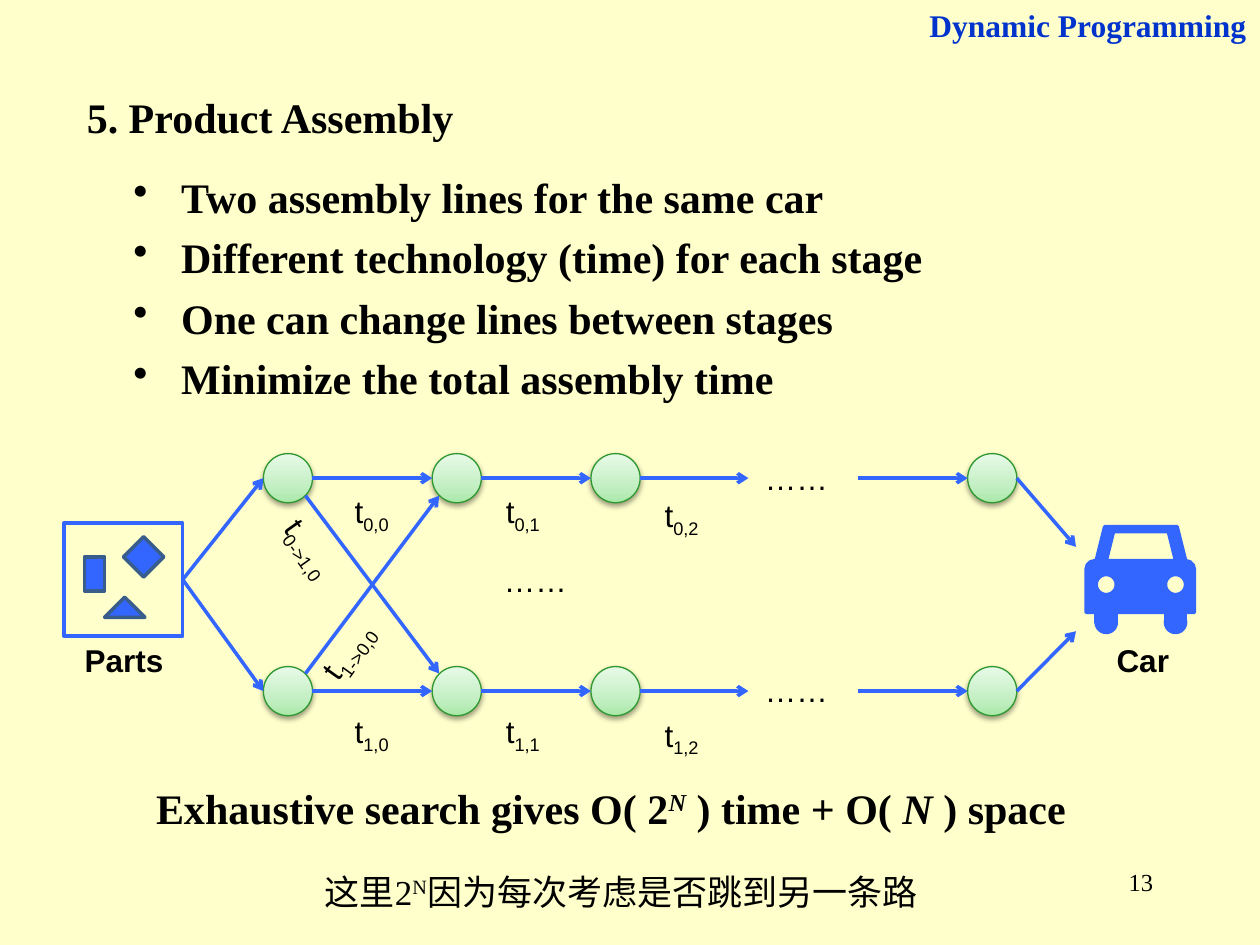
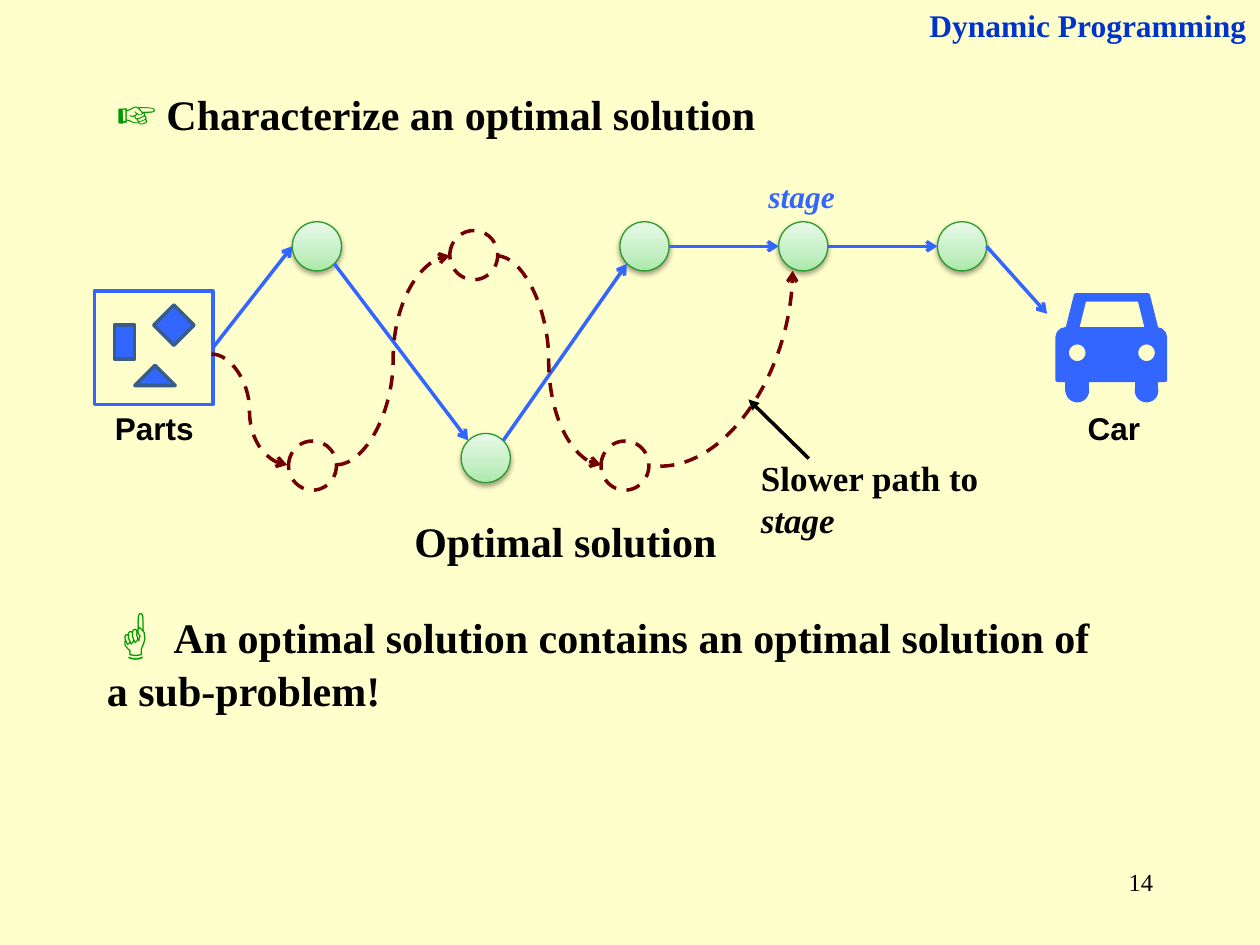
import pptx
import pptx.dml.color
import pptx.enum.dml
import pptx.enum.shapes
import pptx.enum.text
import pptx.oxml
import pptx.oxml.ns
import pptx.util
from dataclasses import dataclass

Inches, Pt = pptx.util.Inches, pptx.util.Pt
Shape = pptx.enum.shapes.MSO_SHAPE
Conn = pptx.enum.shapes.MSO_CONNECTOR
Align = pptx.enum.text.PP_ALIGN
qn = pptx.oxml.ns.qn
NS = pptx.oxml.ns.nsdecls("a")


@dataclass(frozen=True)
class Theme:
    paper: str = "FFFFCC"
    ink: str = "000000"
    head: str = "0033CC"
    blue: str = "3366FF"
    edge: str = "385D8A"
    ring: str = "2F982F"
    hand: str = "009900"
    slow: str = "730000"
    serif: str = "Times New Roman"
    sans: str = "Arial"
    big: int = 24
    mid: int = 20
    small: int = 18
    tiny: int = 14


T = Theme()

# Text formats; "color" and "base" (raised or lowered text, in %) are special
BODY = dict(name=T.serif, size=T.big, color=T.ink, bold=True)
ITAL = dict(BODY, italic=True)
NOTE = dict(BODY, size=T.mid, bold=False)
CALL = dict(BODY, size=T.mid)
HEAD = dict(BODY, size=T.small, color=T.head)
PAGE = dict(BODY, size=T.tiny, bold=False)
MARK = dict(BODY, color=T.hand)
TAG = dict(name=T.sans, size=T.small, color=T.ink, bold=True)
COST = dict(TAG, bold=False)

# Content
TOPIC = "Dynamic Programming"
POINTS = [
    "Two assembly lines for the same car",
    "Different technology (time) for each stage",
    "One can change lines between stages",
    "Minimize the total assembly time",
]
SEARCH = [
    ("Exhaustive search gives O( 2", BODY), ("N", dict(ITAL, base=30)),
    (" ) time + O( ", BODY), ("N", ITAL), (" ) space", BODY),
]
REMARK = [("这里2", NOTE), ("N", dict(NOTE, base=30)),
          ("因为每次考虑是否跳到另一条路", NOTE)]
CLAIM = [("☞", dict(MARK, size=28)),
         (" Characterize an optimal solution", BODY)]
MORAL = [("☝ ", dict(MARK, size=32)),
         ("An optimal solution contains an optimal solution of "
          "a sub-problem!", BODY)]

# Circles: left edges of the columns, tops of the two lines
DIA, SKEW = 0.39, 0.14
COLS, ROWS = [2.09, 3.43, 4.69, 7.68], [3.6, 5.29]
GAP = (5.94, 6.81)
COSTS = [(2.7, 0.26), (3.9, 0.26), (5.16, 0.29)]
SWAPS = [("0->1,0", 2.09, 4.14, 54.6), ("1->0,0", 2.37, 4.96, 305.7)]
DOTS = [(5.97, 3.59), (5.97, 5.28), (3.9, 4.4)]
BEST = [(2.32, 1.76), (3.66, 3.44), (4.92, 1.76), (6.18, 1.76), (7.44, 1.76)]
RINGS = [(2.29, 3.5), (3.57, 1.83), (4.77, 3.5)]
BENDS = [((1.68, 2.81), (2.28, 3.69)), ((2.67, 3.69), (3.57, 2.03)),
         ((3.94, 2.03), (4.77, 3.69)), ((5.24, 3.7), (6.29, 2.15))]


def rgb(code):
    return pptx.dml.color.RGBColor.from_string(code)


def style(run, form):
    for key, val in form.items():
        if key == "color":
            run.font.color.rgb = rgb(val)
        elif key == "base":
            run._r.get_or_add_rPr().set("baseline", str(val * 1000))
        else:
            setattr(run.font, key, Pt(val) if key == "size" else val)


def write(slide, box, runs, align=Align.LEFT, wrap=True, turn=0):
    """Add a text box of one paragraph made of (text, format) runs."""
    item = slide.shapes.add_textbox(*map(Inches, box))
    item.rotation = turn
    item.text_frame.word_wrap = wrap
    para = item.text_frame.paragraphs[0]
    para.alignment = align
    for text, form in runs:
        run = para.add_run()
        run.text = text
        style(run, form)
    return item


def label(slide, x, y, wide, *runs, turn=0):
    write(slide, (x, y, wide, 0.4), runs, Align.CENTER, False, turn)


def cost(slide, x, y, sub, wide=0.5, turn=0):
    label(slide, x, y, wide, ("t", COST), (sub, dict(COST, base=-25)),
          turn=turn)


def draw(slide, kind, box, fill=None, line=T.blue, width=2):
    item = slide.shapes.add_shape(kind, *map(Inches, box))
    item.shadow.inherit = False
    if fill:
        item.fill.solid()
        item.fill.fore_color.rgb = rgb(fill)
    else:
        item.fill.background()
    item.line.color.rgb = rgb(line)
    item.line.width = Pt(width)
    return item


def node(slide, x, y):
    """Add a green station with a soft shadow."""
    item = draw(slide, Shape.OVAL, (x, y, DIA, DIA), T.paper, T.ring, 0.75)
    props = item._element.spPr
    stops = "".join(
        f'<a:gs pos="{at * 1000}"><a:srgbClr val="{hue}"/></a:gs>'
        for at, hue in [(0, "A9E9A9"), (35, "C4EFC4"), (100, "E8FAE8")])
    props.replace(props.find(qn("a:solidFill")), pptx.oxml.parse_xml(
        f'<a:gradFill {NS} rotWithShape="1"><a:gsLst>{stops}</a:gsLst>'
        '<a:lin ang="16200000" scaled="0"/></a:gradFill>'))
    props.find(qn("a:effectLst")).append(pptx.oxml.parse_xml(
        f'<a:outerShdw {NS} blurRad="{Pt(3.1)}" dist="{Pt(1.6)}" '
        'dir="5400000" rotWithShape="0"><a:srgbClr val="000000">'
        '<a:alpha val="38000"/></a:srgbClr></a:outerShdw>'))


def wire(slide, start, end, hue=T.blue, tip="arrow", kind=Conn.STRAIGHT):
    item = slide.shapes.add_connector(kind, *map(Inches, (*start, *end)))
    item.line.color.rgb = rgb(hue)
    item.line.width = Pt(2)
    if kind == Conn.CURVE:
        item.line.dash_style = pptx.enum.dml.MSO_LINE.DASH
    item.line._get_or_add_ln().append(
        pptx.oxml.parse_xml(f'<a:tailEnd {NS} type="{tip}"/>'))
    item._element.spPr.append(pptx.oxml.parse_xml(f"<a:effectLst {NS}/>"))
    return item


def west(x, y):
    return x, y + DIA / 2


def east(x, y):
    return x + DIA, y + DIA / 2


def cross(slide, a, b):
    """Link two stations on different lines, corner to corner."""
    half = DIA / 2
    sign = 1 if b[1] > a[1] else -1
    wire(slide, (a[0] + half + SKEW, a[1] + half + sign * SKEW),
         (b[0] + half - SKEW, b[1] + half - sign * SKEW))


def parts(slide, x, y):
    box = draw(slide, Shape.RECTANGLE, (x, y, 0.94, 0.9), T.paper)
    for kind, dx, dy, w, h in [
            (Shape.RECTANGLE, 0.16, 0.27, 0.16, 0.27),
            (Shape.ISOSCELES_TRIANGLE, 0.32, 0.59, 0.32, 0.16),
            (Shape.DIAMOND, 0.47, 0.11, 0.32, 0.32)]:
        draw(slide, kind, (x + dx, y + dy, w, h), T.blue, T.edge)
    label(slide, x + 0.06, y + 0.89, 0.83, ("Parts", TAG))
    return box


def car(slide, x, y):
    sides = (0.08, 0.63)
    for dx in sides:
        draw(slide, Shape.RECTANGLE, (x + dx, y + 0.52, 0.16, 0.24), T.blue)
        draw(slide, Shape.OVAL, (x + dx, y + 0.68, 0.16, 0.16), T.blue)
    draw(slide, Shape.TRAPEZOID, (x + 0.08, y, 0.71, 0.27), T.blue)
    draw(slide, Shape.ROUND_2_SAME_RECTANGLE, (x, y + 0.27, 0.86, 0.41),
         T.blue)
    draw(slide, Shape.TRAPEZOID, (x + 0.16, y + 0.04, 0.55, 0.23), T.paper)
    for dx in sides:
        draw(slide, Shape.OVAL, (x + dx, y + 0.38, 0.16, 0.16), T.paper)
    label(slide, x + 0.14, y + 0.86, 0.62, ("Car", TAG))


def page(deck, num):
    slide = deck.slides.add_slide(deck.slide_layouts[6])
    write(slide, (7.17, 6.83, 2.08, 0.5), [(str(num), PAGE)], Align.RIGHT)
    write(slide, (6.5, 0, 3.49, 0.4), [(TOPIC, HEAD)], Align.RIGHT)
    return slide


def points(slide):
    item = slide.shapes.add_textbox(*map(Inches, (0.96, 1.31, 6.87, 2.16)))
    frame = item.text_frame
    frame.word_wrap = True
    for num, text in enumerate(POINTS):
        para = frame.add_paragraph() if num else frame.paragraphs[0]
        para.space_before = Pt(5.8 if num else 0)
        run = para.add_run()
        run.text = text
        style(run, BODY)
        props = para._p.get_or_add_pPr()
        props.set("marL", str(Inches(0.38)))
        props.set("indent", str(-Inches(0.38)))
        props.append(pptx.oxml.parse_xml(f'<a:buChar {NS} char="•"/>'))


def lines(deck):
    slide = page(deck, 13)
    write(slide, (0.59, 0.68, 3.39, 0.5), [("5. Product Assembly", BODY)])
    points(slide)
    box = parts(slide, 0.51, 4.15)
    car(slide, 8.62, 4.18)
    for row, (y, goal) in enumerate(zip(ROWS, (4.34, 5.01))):
        mid = y + DIA / 2
        for x in COLS:
            node(slide, x, y)
        ends = [*COLS[:3], GAP[0], COLS[3]]
        tails = [x + DIA for x in COLS[:3]] + [GAP[1]]
        for tail, end in zip(tails, ends[1:]):
            wire(slide, (tail, mid), (end, mid))
        wire(slide, (1.45, 4.6), west(COLS[0], y)).begin_connect(box, 3)
        wire(slide, east(COLS[3], y), (8.54, goal))
        cross(slide, (COLS[0], y), (COLS[1], ROWS[1 - row]))
        for num, (x, drop) in enumerate(COSTS):
            cost(slide, x, 3.6 + 1.74 * row + drop, f"{row},{num}")
    for sub, x, y, turn in SWAPS:
        cost(slide, x, y, sub, 0.75, turn)
    for x, y in DOTS:
        label(slide, x, y, 0.7, ("……", COST))
    write(slide, (1.14, 6.16, 7.64, 0.5), SEARCH)
    write(slide, (2.48, 6.86, 5.4, 0.44), REMARK)


def best(deck):
    slide = page(deck, 14)
    write(slide, (0.83, 0.6, 5.67, 0.57), CLAIM)
    box = parts(slide, 0.75, 2.31)
    car(slide, 8.39, 2.34)
    for spot in BEST:
        node(slide, *spot)
    wire(slide, (1.69, 2.76), west(*BEST[0])).begin_connect(box, 3)
    for a, b in zip(BEST, BEST[1:]):
        if a[1] == b[1]:
            wire(slide, east(*a), west(*b))
        else:
            cross(slide, a, b)
    wire(slide, east(*BEST[-1]), (8.31, 2.49))
    for x, y in RINGS:
        ring = draw(slide, Shape.OVAL, (x, y, 0.38, DIA), line=T.slow)
        ring.line.dash_style = pptx.enum.dml.MSO_LINE.DASH
    for a, b in BENDS:
        bend = wire(slide, a, b, T.slow, kind=Conn.CURVE)
    # The last bend is a quarter turn that enters the stage from below
    bend._element.spPr.find(qn("a:prstGeom")).set("prst", "curvedConnector2")
    wire(slide, (6.42, 3.64), (5.94, 3.17), T.ink, "triangle")
    for box, runs in [
            ((3.19, 4.04, 2.6, 0.5), [("Optimal solution", BODY)]),
            ((5.94, 3.57, 2.58, 0.43),
             [("Slower path to ", CALL), ("stage", dict(CALL, italic=True))]),
            ((6, 1.36, 0.73, 0.4),
             [("stage", dict(ITAL, size=T.small, color=T.blue))])]:
        write(slide, box, runs, wrap=False)
    write(slide, (0.75, 4.69, 8.03, 1.03), MORAL)


def main():
    deck = pptx.Presentation()
    deck.slide_width, deck.slide_height = Inches(10), Inches(7.5)
    back = deck.slide_master.background.fill
    back.solid()
    back.fore_color.rgb = rgb(T.paper)
    lines(deck)
    best(deck)
    deck.save("out.pptx")


if __name__ == "__main__":
    main()
